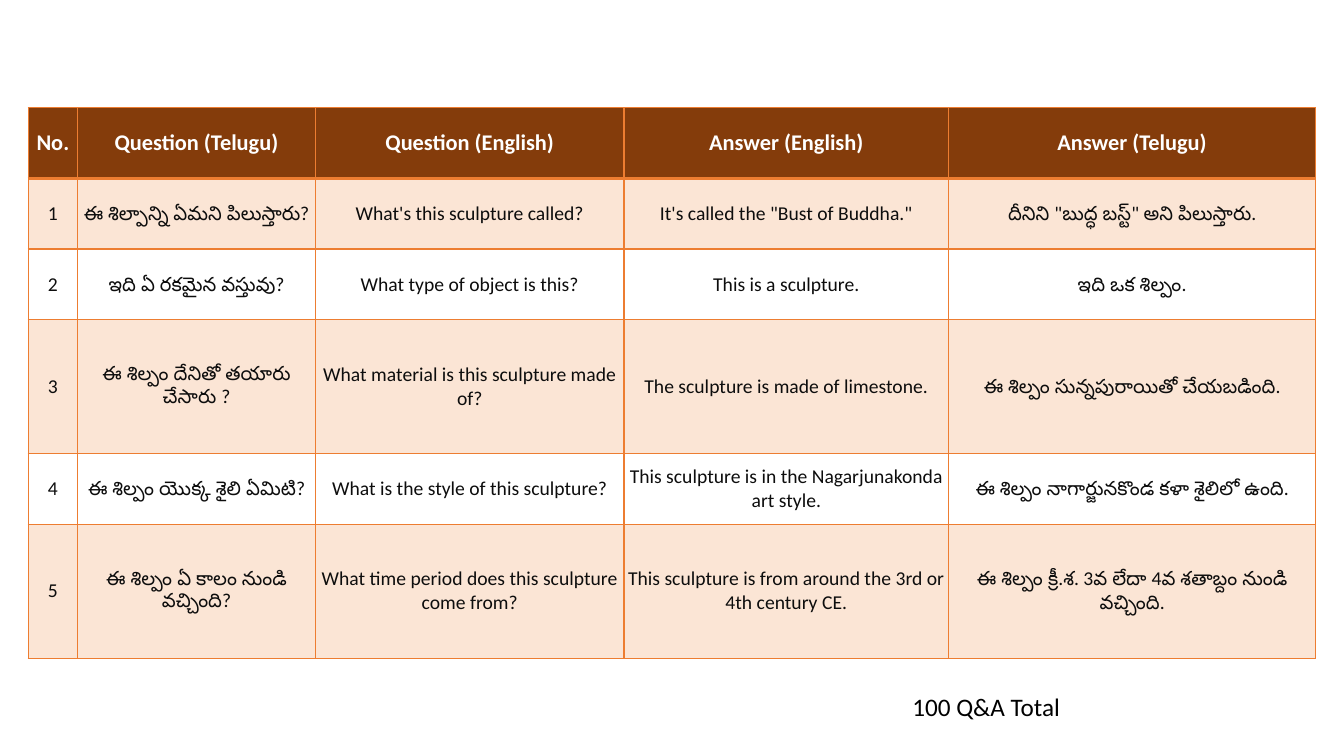
from dataclasses import dataclass

from lxml import etree
from pptx import Presentation
from pptx import util as u
from pptx.dml.color import RGBColor
from pptx.enum import text
from pptx.oxml import ns


@dataclass(frozen=True)
class Theme:
    font: str = "Calibri"
    header_fill: str = "843C0B"
    accent: str = "ED7D31"
    header_ink: str = "FFFFFF"
    body_ink: str = "0D0D0D"
    note_ink: str = "000000"
    header_size: int = 16
    body_size: int = 14
    note_size: int = 18
    band_alpha: int = 20


theme = Theme()


def add_span(para, words, size, color, bold=False):
    span = para.add_run()
    span.text = words
    span.font.name = theme.font
    span.font.size = u.Pt(size)
    span.font.bold = bold
    span.font.color.rgb = RGBColor.from_string(color)


def add_border(cell, side, width):
    line = etree.SubElement(cell._tc.get_or_add_tcPr(), ns.qn(f"a:ln{side}"), w=str(u.Pt(width)))
    fill = etree.SubElement(line, ns.qn("a:solidFill"))
    etree.SubElement(fill, ns.qn("a:srgbClr"), val=theme.accent)


# Page
deck = Presentation()
deck.slide_width, deck.slide_height = u.Inches(13.33), u.Inches(7.5)
page = deck.slides.add_slide(deck.slide_layouts[6])

# Question and answer grid
rows = [
    ["No.", "Question (Telugu)", "Question (English)", "Answer (English)", "Answer (Telugu)"],
    ["1", "ఈ శిల్పాన్ని ఏమని పిలుస్తారు?", "What's this sculpture called?",
     'It\'s called the "Bust of Buddha."', 'దీనిని "బుద్ధ బస్ట్" అని పిలుస్తారు.'],
    ["2", "ఇది ఏ రకమైన వస్తువు?", "What type of object is this?",
     "This is a sculpture.", "ఇది ఒక శిల్పం."],
    ["3", "ఈ శిల్పం దేనితో తయారు చేసారు ?", "What material is this sculpture made of?",
     "The sculpture is made of limestone.", "ఈ శిల్పం సున్నపురాయితో చేయబడింది."],
    ["4", "ఈ శిల్పం యొక్క శైలి ఏమిటి?", "What is the style of this sculpture?",
     "This sculpture is in the Nagarjunakonda art style.",
     "ఈ శిల్పం నాగార్జునకొండ కళా శైలిలో ఉంది."],
    ["5", "ఈ శిల్పం ఏ కాలం నుండి వచ్చింది?", "What time period does this sculpture come from?",
     "This sculpture is from around the 3rd or 4th century CE.",
     "ఈ శిల్పం క్రీ.శ. 3వ లేదా 4వ శతాబ్దం నుండి వచ్చింది."],
]
column_widths = [0.49, 2.36, 3.06, 3.22, 3.64]
short_row, tall_row = 0.7, 1.33
row_heights = [short_row] * 3 + [tall_row, short_row, tall_row]

table = page.shapes.add_table(
    len(rows), len(column_widths), u.Inches(0.28), u.Inches(1.07),
    u.Inches(sum(column_widths)), u.Inches(sum(row_heights))).table
for column, width in zip(table.columns, column_widths):
    column.width = u.Inches(width)
for row, height in zip(table.rows, row_heights):
    row.height = u.Inches(height)

for row_index, row in enumerate(rows):
    is_header = row_index == 0
    for column_index, words in enumerate(row):
        cell = table.cell(row_index, column_index)
        cell.vertical_anchor = text.MSO_ANCHOR.MIDDLE
        cell.margin_left = cell.margin_right = u.Inches(0.01)
        cell.margin_top = cell.margin_bottom = u.Inches(0.01)

        # Borders come before the fill in the cell properties
        for side in "LRTB":
            under_header = (is_header and side == "B") or (row_index == 1 and side == "T")
            add_border(cell, side, 2 if under_header else 1)

        # Dark header, then tinted odd rows
        if is_header:
            cell.fill.solid()
            cell.fill.fore_color.rgb = RGBColor.from_string(theme.header_fill)
        elif row_index % 2:
            cell.fill.solid()
            cell.fill.fore_color.rgb = RGBColor.from_string(theme.accent)
            tint = cell._tc.tcPr.find(ns.qn("a:solidFill"))[0]
            etree.SubElement(tint, ns.qn("a:alpha"), val=str(theme.band_alpha * 1000))
        else:
            cell.fill.background()

        para = cell.text_frame.paragraphs[0]
        para.alignment = text.PP_ALIGN.CENTER
        if is_header:
            add_span(para, words, theme.header_size, theme.header_ink, bold=True)
        else:
            add_span(para, words, theme.body_size, theme.body_ink)

# Total below the grid
box = page.shapes.add_textbox(u.Inches(8.95), u.Inches(6.81), u.Inches(3.55), u.Inches(0.4))
box.text_frame.word_wrap = True
box.text_frame.auto_size = text.MSO_AUTO_SIZE.SHAPE_TO_FIT_TEXT
add_span(box.text_frame.paragraphs[0], "100 Q&A Total", theme.note_size, theme.note_ink)

deck.save("out.pptx")
